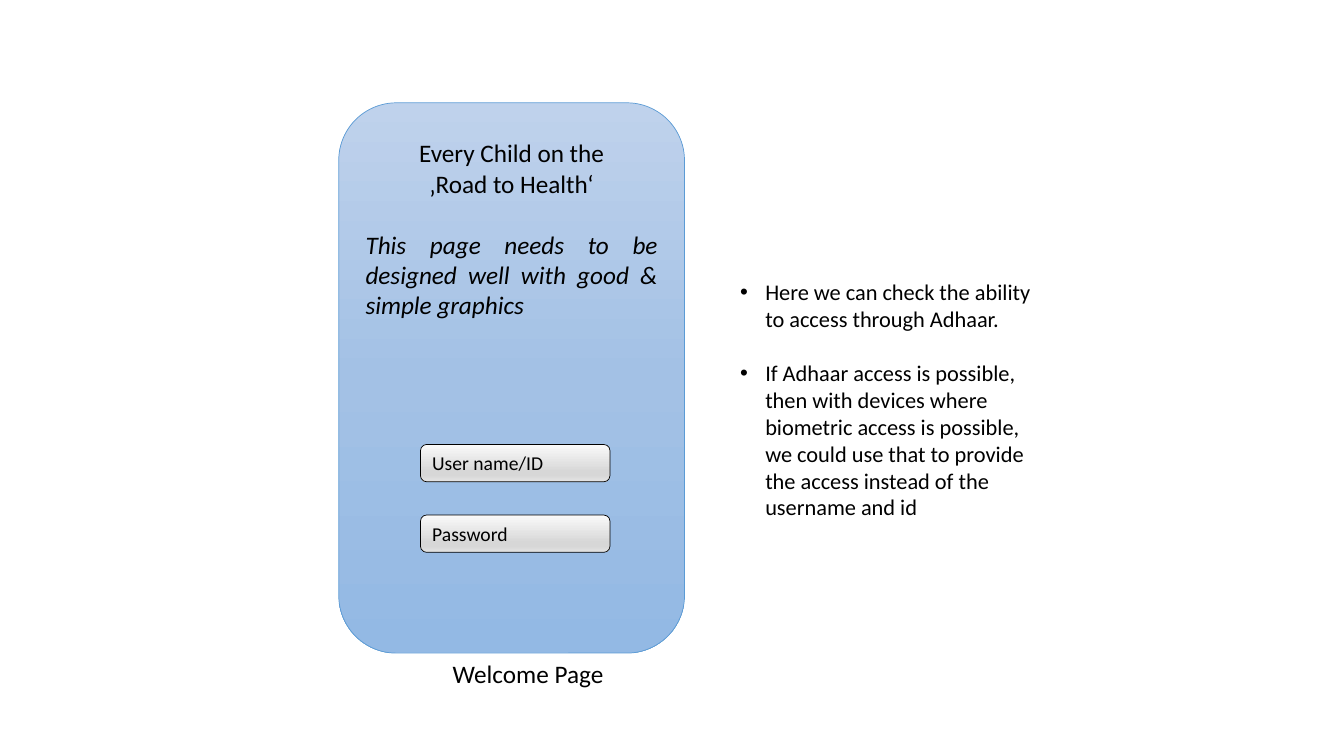
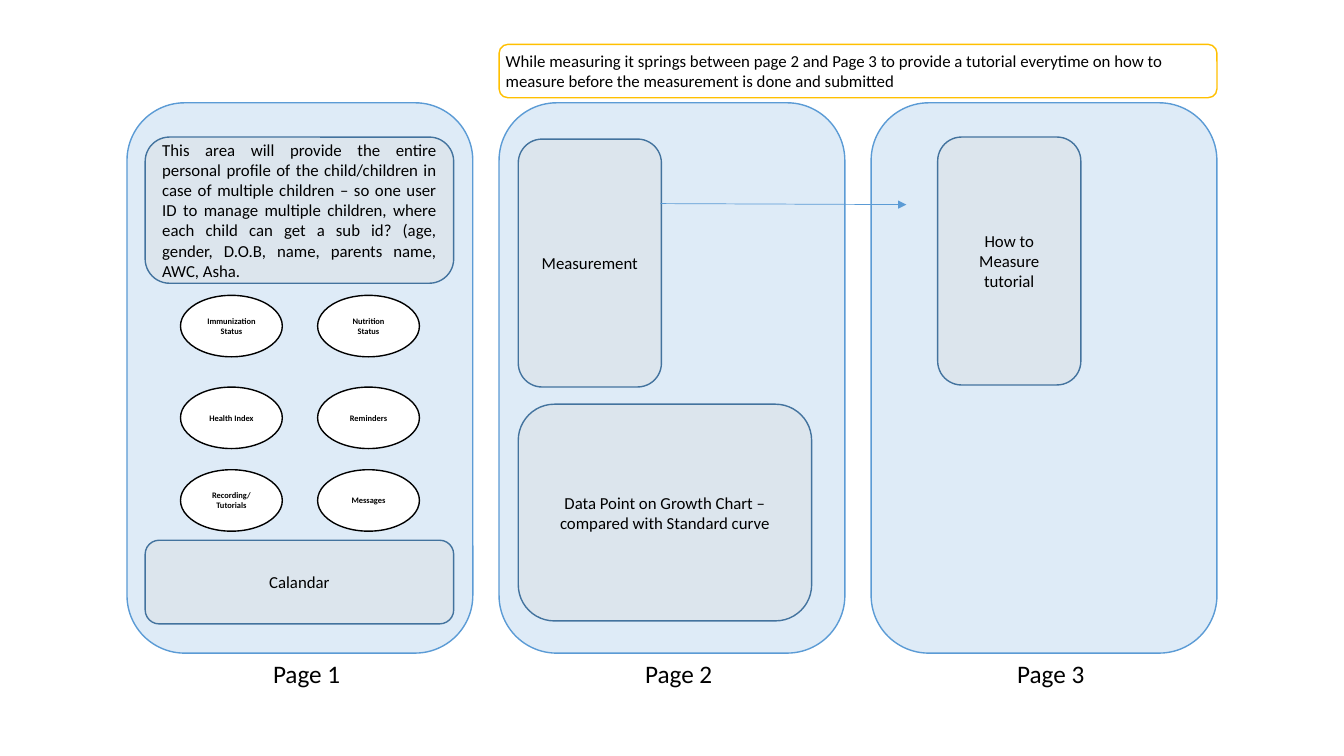
from copy import deepcopy

from lxml import etree
from pptx import Presentation
from pptx.dml.color import RGBColor
from pptx.enum.shapes import MSO_CONNECTOR, MSO_SHAPE
from pptx.enum.text import MSO_ANCHOR, MSO_AUTO_SIZE, PP_ALIGN
from pptx.oxml.ns import qn
from pptx.util import Inches, Pt

ROUNDED, ELLIPSE = MSO_SHAPE.ROUNDED_RECTANGLE, MSO_SHAPE.OVAL
LEFT, CENTER, JUSTIFY = PP_ALIGN.LEFT, PP_ALIGN.CENTER, PP_ALIGN.JUSTIFY
TOP, MIDDLE = MSO_ANCHOR.TOP, MSO_ANCHOR.MIDDLE

COLOURS = {
    "text": "000000", "white": "FFFFFF", "panel": "DEEBF7", "edge": "5B9BD5",
    "area": "D9D9D9", "area_edge": "43739E", "accent": "FFC000",
}
PANEL_GRADIENT = [(0, "BFD2EC"), (0.5, "A3C1E5"), (1, "93B9E4")]
FIELD_GRADIENT = [(0, "FAFAFA"), (0.74, "D7D7D7"), (0.83, "D7D7D7"), (1, "E4E4E4")]
FONT = "Calibri"

# Phone panels shared by both slides, in inches
PANEL_TOP, PANEL_WIDTH, PANEL_HEIGHT = 1.02, 3.43, 5.46
PANEL_LEFT, PANEL_GAP = 1.26, 0.26
WELCOME_LEFT = 3.36
CAPTION_TOP, CAPTION_HEIGHT = PANEL_TOP + PANEL_HEIGHT, 0.4

WELCOME_CAPTION = "Welcome Page"
WELCOME_LINES = [
    ("Every Child on the", {"align": CENTER}),
    ("‚Road to Health‘", {"align": CENTER}),
    ("This page needs to be designed well with good & simple graphics",
     {"align": JUSTIFY, "italic": True, "before": 22}),
]
FIELDS = ["User name/ID", "Password"]
NOTES = [
    "Here we can check the ability to access through Adhaar.",
    "If Adhaar access is possible, then with devices where biometric access is possible, "
    "we could use that to provide the access instead of the username and id",
]
PAGES = ["Page 1", "Page 2", "Page 3"]
PROFILE = (
    "This area will provide the entire personal profile of the child/children in case of "
    "multiple children – so one user ID to manage multiple children, where each child can "
    "get a sub id? (age, gender, D.O.B, name, parents name, AWC, Asha."
)
# panel number, offset from its left edge, top, width, height, text, alignment
AREAS = [
    (0, 0.18, 1.36, 3.06, 1.45, PROFILE, JUSTIFY),
    (0, 0.18, 5.36, 3.06, 0.83, "Calandar", CENTER),
    (1, 0.19, 1.38, 1.42, 2.46, "Measurement", CENTER),
    (1, 0.19, 4.01, 2.91, 2.15,
     "Data Point on Growth Chart – compared with Standard curve", CENTER),
    (2, 0.66, 1.36, 1.42, 2.46, "How to Measure tutorial", CENTER),
]
MENU_ROWS = [
    (2.93, [["Immunization Status"], ["Nutrition Status"]]),
    (3.84, [["Health Index"], ["Reminders"]]),
    (4.66, [["Recording/", "Tutorials"], ["Messages"]]),
]
BANNER = (
    "While measuring it springs between page 2 and Page 3 to provide a tutorial everytime "
    "on how to measure before the measurement is done and submitted"
)


def rgb(name):
    return RGBColor.from_string(COLOURS.get(name, name))


def write(box, lines, size, align=LEFT, anchor=MIDDLE, bold=False, margins=None):
    """Fill a shape with (text, format) paragraphs; plain strings use the defaults."""
    frame = box.text_frame
    settings = {"word_wrap": True, "auto_size": MSO_AUTO_SIZE.NONE, "vertical_anchor": anchor}
    settings.update({f"margin_{side}": Inches(gap) for side, gap in (margins or {}).items()})
    for name, value in settings.items():
        setattr(frame, name, value)
    for index, line in enumerate(lines):
        text, style = (line, {}) if isinstance(line, str) else line
        para = frame.add_paragraph() if index else frame.paragraphs[0]
        para.alignment = style.get("align", align)
        para.line_spacing = 1.0
        para.space_before = Pt(style.get("before", 0))
        span = para.add_run()
        span.text = text
        formats = {"name": FONT, "size": Pt(size), "bold": bold,
                   "italic": style.get("italic", False)}
        for name, value in formats.items():
            setattr(span.font, name, value)
        span.font.color.rgb = rgb("text")


def paint_gradient(shape, stops):
    fill = shape.fill
    fill.gradient()
    fill.gradient_angle = 270
    stop_list = shape._element.spPr.find(qn("a:gradFill")).find(qn("a:gsLst"))
    while len(stop_list) < len(stops):
        stop_list.append(deepcopy(stop_list[0]))
    for stop, (position, colour) in zip(fill.gradient_stops, stops):
        stop.position = position
        stop.color.rgb = rgb(colour)


def add_box(page, kind, place, fill, edge, width=1.0, opacity=None):
    """Add an outlined shape; fill is a colour name or a list of gradient stops."""
    box = page.shapes.add_shape(kind, *map(Inches, place))
    box.shadow.inherit = False
    if isinstance(fill, list):
        paint_gradient(box, fill)
    else:
        box.fill.solid()
        box.fill.fore_color.rgb = rgb(fill)
    if opacity is not None:
        colour = box._element.spPr.find(qn("a:solidFill"))[0]
        etree.SubElement(colour, qn("a:alpha")).set("val", str(int(opacity * 100000)))
    box.line.color.rgb = rgb(edge)
    box.line.width = Pt(width)
    return box


def add_panel(page, left, fill, width=1.0):
    place = (left, PANEL_TOP, PANEL_WIDTH, PANEL_HEIGHT)
    return add_box(page, ROUNDED, place, fill, "edge", width)


def add_arrow(page, start, end):
    arrow = page.shapes.add_connector(MSO_CONNECTOR.STRAIGHT, *map(Inches, start + end))
    arrow.line.color.rgb = rgb("edge")
    arrow.line.width = Pt(0.5)
    etree.SubElement(arrow.line._get_or_add_ln(), qn("a:tailEnd")).set("type", "triangle")
    etree.SubElement(arrow._element.spPr, qn("a:effectLst"))


def move(box, place):
    for name, value in zip(("left", "top", "width", "height"), place):
        setattr(box, name, Inches(value))


def build_welcome(deck):
    page = deck.slides.add_slide(deck.slide_layouts[1])
    panel = add_panel(page, WELCOME_LEFT, PANEL_GRADIENT, 0.5)
    write(panel, WELCOME_LINES, 18, anchor=TOP, margins={"top": 0.18})

    for row, label in enumerate(FIELDS):
        place = (WELCOME_LEFT + 0.81, 4.41 + row * 0.7, 1.88, 0.37)
        field = add_box(page, ROUNDED, place, FIELD_GRADIENT, "text", 0.5)
        write(field, [label], 14)

    caption = page.shapes.title
    move(caption, (WELCOME_LEFT + 1.03, CAPTION_TOP, 1.94, CAPTION_HEIGHT))
    write(caption, [WELCOME_CAPTION], 18, anchor=TOP)

    notes = page.placeholders[1]
    move(notes, (7.3, 2.72, 2.99, 2.5))
    lines = [(text, {"before": 19.5 if index else 0}) for index, text in enumerate(NOTES)]
    write(notes, lines, 16, anchor=TOP,
          margins=dict.fromkeys(("left", "top", "right", "bottom"), 0.04))
    for para in notes.text_frame.paragraphs:
        properties = para._p.get_or_add_pPr()
        properties.set("marL", str(Inches(0.25)))
        properties.set("indent", str(-Inches(0.25)))


def build_pages(deck):
    page = deck.slides.add_slide(deck.slide_layouts[6])
    lefts = [PANEL_LEFT + i * (PANEL_WIDTH + PANEL_GAP) for i in range(len(PAGES))]
    for left, label in zip(lefts, PAGES):
        add_panel(page, left, "panel")
        place = (left + 1.35, CAPTION_TOP, 1.3, CAPTION_HEIGHT)
        caption = page.shapes.add_textbox(*map(Inches, place))
        write(caption, [label], 18, anchor=TOP)

    for panel, offset, top, width, height, text, align in AREAS:
        place = (lefts[panel] + offset, top, width, height)
        area = add_box(page, ROUNDED, place, "area", "area_edge", opacity=0.3)
        write(area, [text], 12, align)

    for top, items in MENU_ROWS:
        for column, lines in enumerate(items):
            place = (lefts[0] + 0.53 + column * 1.36, top, 1.01, 0.61)
            button = add_box(page, ELLIPSE, place, "white", "text")
            write(button, lines, 6, CENTER, bold=True)

    add_arrow(page, (6.55, 2.02), (8.99, 2.03))
    banner_width = lefts[2] + PANEL_WIDTH - lefts[1]
    banner = add_box(page, ROUNDED, (lefts[1], 0.44, banner_width, 0.53), "white", "accent")
    write(banner, [BANNER], 12,
          margins=dict.fromkeys(("left", "top", "right", "bottom"), 0.04))


def main():
    deck = Presentation()
    deck.slide_width, deck.slide_height = Inches(13.33), Inches(7.5)
    build_welcome(deck)
    build_pages(deck)
    deck.save("out.pptx")


if __name__ == "__main__":
    main()
